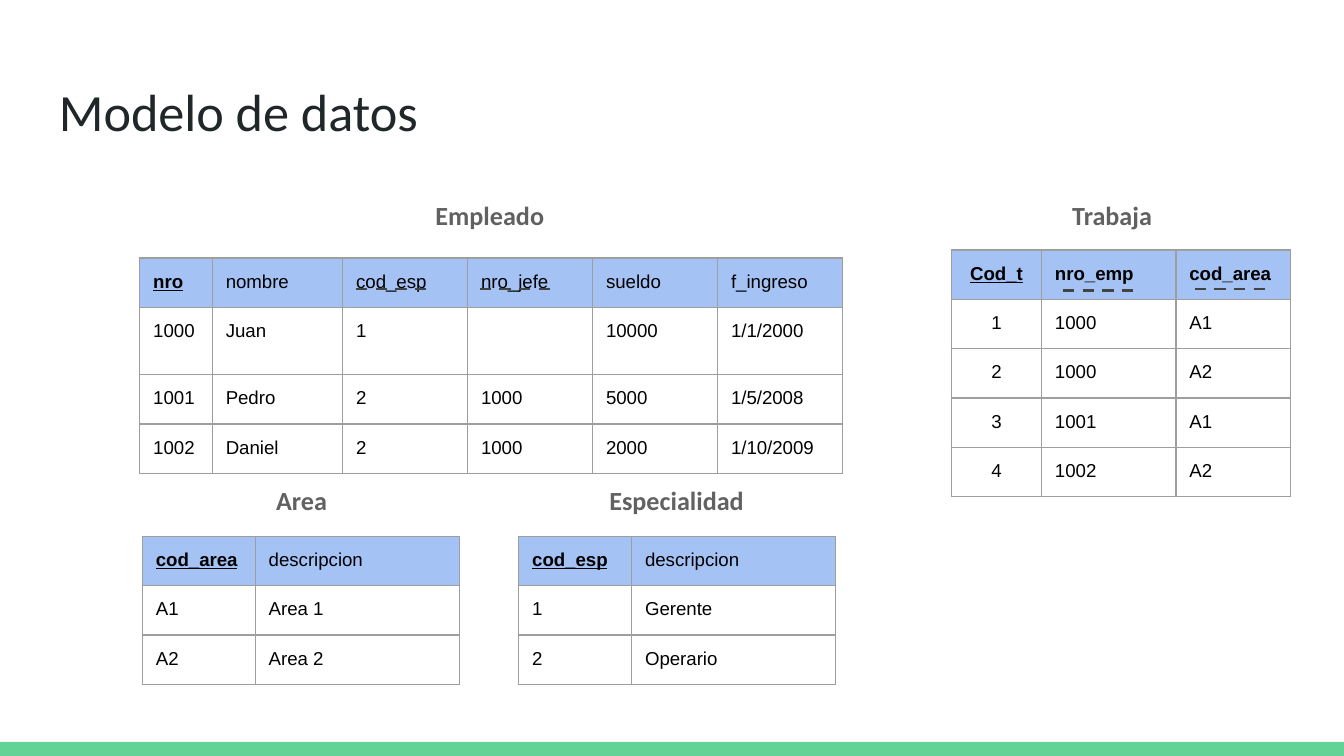
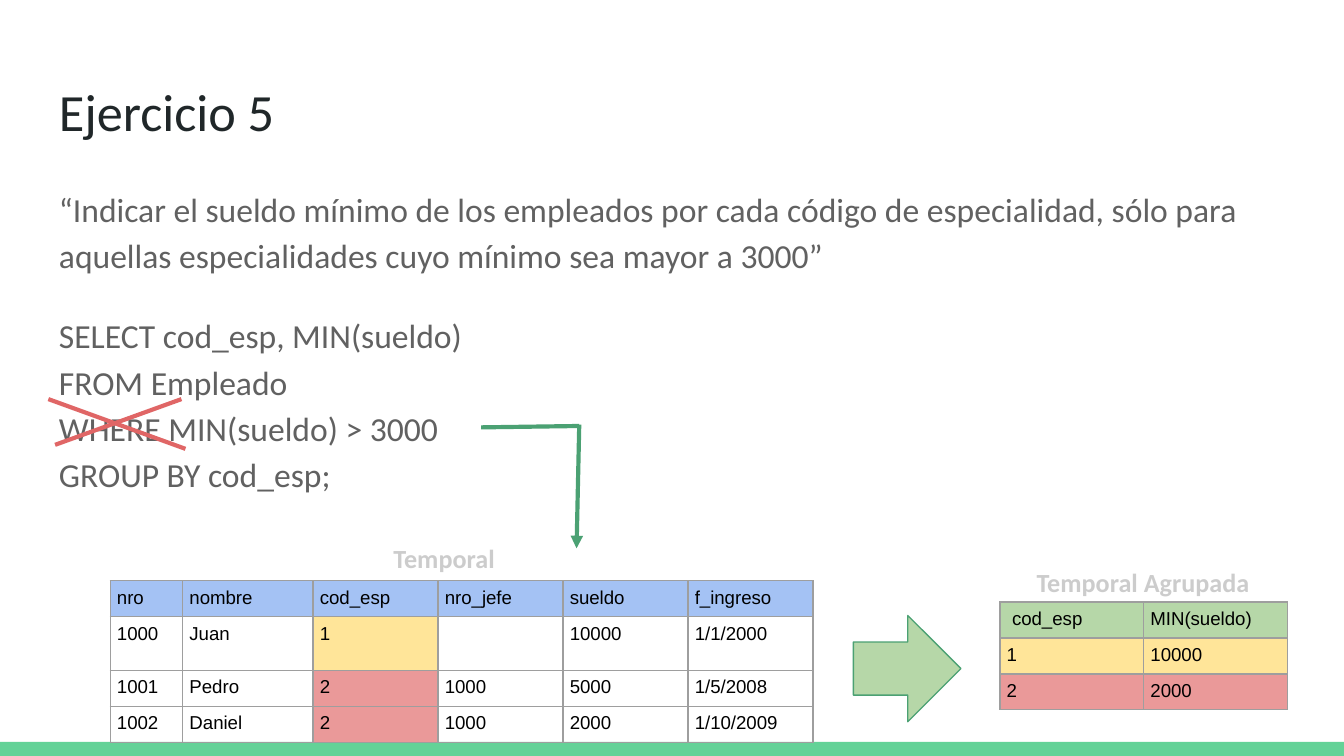
from dataclasses import dataclass, field

from lxml.etree import SubElement
from pptx import Presentation
from pptx.dml.color import RGBColor
from pptx.enum.dml import MSO_LINE
from pptx.enum.shapes import MSO_CONNECTOR, MSO_SHAPE
from pptx.enum.text import PP_ALIGN
from pptx.oxml.ns import qn
from pptx.presentation import Presentation as Deck
from pptx.shapes.autoshape import Shape
from pptx.slide import Slide
from pptx.table import _Cell as Cell
from pptx.util import Inches, Pt

WHITE = RGBColor(0xFF, 0xFF, 0xFF)
BLACK = RGBColor(0x00, 0x00, 0x00)
INK = RGBColor(0x20, 0x27, 0x29)
GRAY = RGBColor(0x61, 0x61, 0x61)
PALE_GRAY = RGBColor(0xCC, 0xCC, 0xCC)
DASH_GRAY = RGBColor(0x43, 0x43, 0x43)
BORDER_GRAY = RGBColor(0x9E, 0x9E, 0x9E)
BAND_GREEN = RGBColor(0x63, 0xD2, 0x97)
ARROW_GREEN = RGBColor(0x4B, 0xA1, 0x73)
LIGHT_GREEN = RGBColor(0xB6, 0xD7, 0xA8)
HEADER_BLUE = RGBColor(0xA4, 0xC2, 0xF4)
YELLOW = RGBColor(0xFF, 0xE5, 0x99)
PINK = RGBColor(0xEA, 0x99, 0x99)
RED = RGBColor(0xE0, 0x66, 0x66)

HEADING_FONT = "Calibri"
TABLE_FONT = "Arial"
SLIDE_WIDTH = Inches(10)
SLIDE_HEIGHT = SLIDE_WIDTH * 9 // 16
MARGIN = 0.34
CONTENT_WIDTH = 9.32
CAPTION_WIDTH = 1.97
TABLE_FRAME = Inches(3.28)

EMPLOYEE_WIDTHS = (0.54, 0.97, 0.93, 0.93, 0.93, 0.93)
EMPLOYEE_ROWS = (
    ("nro", "nombre", "cod_esp", "nro_jefe", "sueldo", "f_ingreso"),
    ("1000", "Juan", "1", "", "10000", "1/1/2000"),
    ("1001", "Pedro", "2", "1000", "5000", "1/5/2008"),
    ("1002", "Daniel", "2", "1000", "2000", "1/10/2009"),
)


@dataclass(frozen=True)
class TextStyle:
    size: float
    color: RGBColor
    bold: bool = False
    align: PP_ALIGN = PP_ALIGN.LEFT
    line_spacing: float = 1.0
    space_after: float = 0


TITLE = TextStyle(28, INK)
BODY = TextStyle(18, GRAY, line_spacing=1.15, space_after=16)
CAPTION = TextStyle(14, GRAY, True, PP_ALIGN.CENTER, 1.15, 16)
TEMPORARY_CAPTION = TextStyle(14, PALE_GRAY, True, PP_ALIGN.CENTER, 1.15, 16)


@dataclass(frozen=True)
class Relation:
    caption: str
    caption_left: float
    caption_top: float
    left: float
    top: float
    widths: tuple[float, ...]
    rows: tuple[tuple[str, ...], ...]
    row_height: float = 0.33
    inset: float = 0.1
    caption_style: TextStyle = CAPTION
    header_fill: RGBColor = HEADER_BLUE
    key_columns: int = 1
    centered_key: bool = False
    header_indent: float = 0
    highlights: dict[tuple[int, int], RGBColor] = field(default_factory=dict)


@dataclass(frozen=True)
class Stroke:
    start: tuple[float, float]
    end: tuple[float, float]
    color: RGBColor
    width: float = 2.25
    dashed: bool = False
    arrow: bool = False


def foreign_key(left: float, right: float, y: float = 2.15) -> Stroke:
    return Stroke((left, y), (right, y), DASH_GRAY, 1.5, dashed=True)


RELATIONS = (
    Relation("Empleado", 2.66, 1.35, 1.04, 1.92, EMPLOYEE_WIDTHS, EMPLOYEE_ROWS),
    Relation(
        "Trabaja", 7.29, 1.35, 7.08, 1.86, (0.67, 1, 0.85),
        (
            ("Cod_t", "nro_emp", "cod_area"),
            ("1", "1000", "A1"),
            ("2", "1000", "A2"),
            ("3", "1001", "A1"),
            ("4", "1002", "A2"),
        ),
        key_columns=3,
        centered_key=True,
    ),
    Relation(
        "Area", 1.26, 3.47, 1.06, 3.99, (0.84, 1.52),
        (("cod_area", "descripcion"), ("A1", "Area 1"), ("A2", "Area 2")),
    ),
    Relation(
        "Especialidad", 4.05, 3.47, 3.86, 3.99, (0.84, 1.52),
        (("cod_esp", "descripcion"), ("1", "Gerente"), ("2", "Operario")),
    ),
)

FOREIGN_KEYS = (
    foreign_key(2.65, 3.19),
    foreign_key(3.57, 4.13),
    foreign_key(7.91, 8.47, 2.16),
    foreign_key(8.89, 9.45),
)

TEMPORARY_RELATIONS = (
    Relation(
        "Temporal", 2.32, 3.9, 0.82, 4.32, EMPLOYEE_WIDTHS, EMPLOYEE_ROWS,
        row_height=0.19,
        inset=0.05,
        caption_style=TEMPORARY_CAPTION,
        key_columns=0,
        highlights={(1, 2): YELLOW, (2, 2): PINK, (3, 2): PINK},
    ),
    Relation(
        "Temporal Agrupada", 7.52, 4.08, 7.44, 4.48, (1.07, 1.07),
        (("cod_esp", "MIN(sueldo)"), ("1", "10000"), ("2", "2000")),
        row_height=0.16,
        inset=0.05,
        caption_style=TEMPORARY_CAPTION,
        header_fill=LIGHT_GREEN,
        key_columns=0,
        header_indent=0.04,
        highlights={(1, 0): YELLOW, (1, 1): YELLOW, (2, 0): PINK, (2, 1): PINK},
    ),
)

QUERY_STROKES = (
    Stroke((3.58, 3.18), (4.31, 3.17), ARROW_GREEN),
    Stroke((4.31, 3.16), (4.29, 4.08), ARROW_GREEN, arrow=True),
    Stroke((0.36, 2.97), (1.38, 3.34), RED),
    Stroke((0.41, 3.31), (1.35, 2.97), RED),
)

QUESTION = (
    "“Indicar el sueldo mínimo de los empleados por cada código de especialidad, "
    "sólo para aquellas especialidades cuyo mínimo sea mayor a 3000”"
)
QUERY = "SELECT cod_esp, MIN(sueldo)\nFROM Empleado\nWHERE MIN(sueldo) > 3000\nGROUP BY cod_esp;"


def add_text(slide: Slide, text: str, left: float, top: float, width: float,
             height: float, style: TextStyle) -> None:
    box = slide.shapes.add_textbox(Inches(left), Inches(top), Inches(width), Inches(height))
    frame = box.text_frame
    frame.word_wrap = True
    frame.margin_left = frame.margin_right = Inches(0.1)
    frame.margin_top = frame.margin_bottom = Inches(0.1)
    paragraph = frame.paragraphs[0]
    paragraph.text = text
    paragraph.alignment = style.align
    paragraph.line_spacing = style.line_spacing
    paragraph.space_after = Pt(style.space_after)
    for run in paragraph.runs:
        run.font.name = HEADING_FONT
        run.font.size = Pt(style.size)
        run.font.bold = style.bold
        run.font.color.rgb = style.color


def add_block(slide: Slide, kind: MSO_SHAPE, left: float, top: float, width: float,
              height: float, fill: RGBColor) -> Shape:
    block = slide.shapes.add_shape(kind, Inches(left), Inches(top), Inches(width), Inches(height))
    block.shadow.inherit = False
    block.fill.solid()
    block.fill.fore_color.rgb = fill
    block.line.fill.background()
    return block


def add_stroke(slide: Slide, stroke: Stroke) -> None:
    ends = [Inches(value) for value in (*stroke.start, *stroke.end)]
    connector = slide.shapes.add_connector(MSO_CONNECTOR.STRAIGHT, *ends)
    connector.line.color.rgb = stroke.color
    connector.line.width = Pt(stroke.width)
    if stroke.dashed:
        connector.line.dash_style = MSO_LINE.DASH
    properties = connector._element.spPr
    if stroke.arrow:
        SubElement(properties.find(qn("a:ln")), qn("a:tailEnd"), type="triangle")
    SubElement(properties, qn("a:effectLst"))


def add_borders(cell: Cell) -> None:
    properties = cell._tc.get_or_add_tcPr()
    for side in ("a:lnL", "a:lnR", "a:lnT", "a:lnB"):
        border = SubElement(properties, qn(side), w=str(Pt(0.75)))
        SubElement(SubElement(border, qn("a:solidFill")), qn("a:srgbClr"), val=str(BORDER_GRAY))


def fill_cell(cell: Cell, relation: Relation, row: int, column: int) -> None:
    header = row == 0
    key = column == 0 and relation.key_columns > 0
    indent = relation.header_indent if header and column == 0 else 0
    cell.margin_left = Inches(relation.inset + indent)
    cell.margin_right = cell.margin_top = cell.margin_bottom = Inches(relation.inset)
    add_borders(cell)
    highlight = relation.highlights.get((row, column), relation.header_fill if header else None)
    if highlight is None:
        cell.fill.background()
    else:
        cell.fill.solid()
        cell.fill.fore_color.rgb = highlight
    text = relation.rows[row][column]
    paragraph = cell.text_frame.paragraphs[0]
    if not text:
        ending = SubElement(paragraph._p, qn("a:endParaRPr"), sz="1800")
        SubElement(ending, qn("a:latin"), typeface=TABLE_FONT)
        return
    paragraph.text = text
    paragraph.alignment = PP_ALIGN.CENTER if key and relation.centered_key else PP_ALIGN.LEFT
    font = paragraph.runs[0].font
    font.name = TABLE_FONT
    font.size = Pt(10)
    font.color.rgb = BLACK
    font.bold = header and column < relation.key_columns
    font.underline = header and key


def add_relation(slide: Slide, relation: Relation) -> None:
    frame = slide.shapes.add_table(
        len(relation.rows), len(relation.widths), Inches(relation.left), Inches(relation.top),
        TABLE_FRAME, TABLE_FRAME,
    )
    grid = frame.table
    grid.first_row = grid.horz_banding = False
    for column, width in zip(grid.columns, relation.widths):
        column.width = Inches(width)
    for row_index, row in enumerate(grid.rows):
        row.height = Inches(relation.row_height)
        for column_index, cell in enumerate(row.cells):
            fill_cell(cell, relation, row_index, column_index)
    frame.width = frame.height = TABLE_FRAME
    add_text(slide, relation.caption, relation.caption_left, relation.caption_top,
             CAPTION_WIDTH, 0.42, relation.caption_style)


def add_titled_slide(deck: Deck, title: str) -> Slide:
    slide = deck.slides.add_slide(deck.slide_layouts[6])
    slide.background.fill.solid()
    slide.background.fill.fore_color.rgb = WHITE
    add_block(slide, MSO_SHAPE.RECTANGLE, 0, 5.52, 10, 0.11, BAND_GREEN)
    add_text(slide, title, MARGIN, 0.49, CONTENT_WIDTH, 0.63, TITLE)
    return slide


def build_data_model(deck: Deck) -> None:
    slide = add_titled_slide(deck, "Modelo de datos")
    for relation in RELATIONS:
        add_relation(slide, relation)
    for stroke in FOREIGN_KEYS:
        add_stroke(slide, stroke)


def build_exercise(deck: Deck) -> None:
    slide = add_titled_slide(deck, "Ejercicio 5")
    add_text(slide, QUERY, MARGIN, 2.2, CONTENT_WIDTH, 0.89, BODY)
    add_text(slide, QUESTION, MARGIN, 1.26, CONTENT_WIDTH, 0.55, BODY)
    for relation in TEMPORARY_RELATIONS:
        add_relation(slide, relation)
    grouping_arrow = add_block(slide, MSO_SHAPE.RIGHT_ARROW, 6.35, 4.58, 0.8, 0.79, LIGHT_GREEN)
    grouping_arrow.line.color.rgb = ARROW_GREEN
    grouping_arrow.line.width = Pt(0.75)
    for stroke in QUERY_STROKES:
        add_stroke(slide, stroke)


def main() -> None:
    deck = Presentation()
    deck.slide_width = SLIDE_WIDTH
    deck.slide_height = SLIDE_HEIGHT
    build_data_model(deck)
    build_exercise(deck)
    deck.save("out.pptx")


if __name__ == "__main__":
    main()
